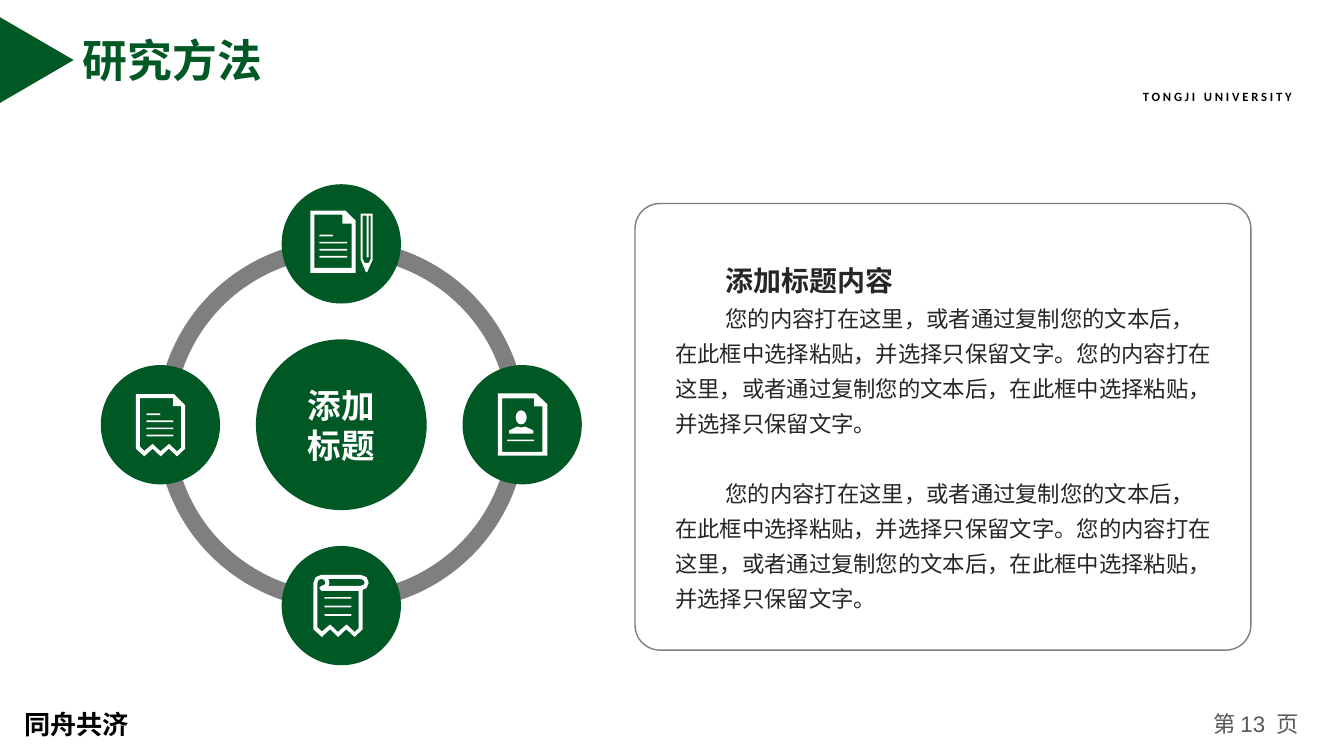
from dataclasses import dataclass

from lxml import etree
from pptx import Presentation
from pptx.dml.color import RGBColor
from pptx.enum.shapes import MSO_SHAPE
from pptx.enum.text import MSO_ANCHOR, PP_ALIGN
from pptx.oxml.ns import qn
from pptx.util import Pt

OVAL, DONUT = MSO_SHAPE.OVAL, MSO_SHAPE.DONUT
ROUNDED, TRIANGLE = MSO_SHAPE.ROUNDED_RECTANGLE, MSO_SHAPE.ISOSCELES_TRIANGLE
LEFT, CENTER, JUSTIFY = PP_ALIGN.LEFT, PP_ALIGN.CENTER, PP_ALIGN.JUSTIFY
MIDDLE = MSO_ANCHOR.MIDDLE


@dataclass(frozen=True)
class Theme:
    green: str = "005825"
    gray: str = "7F7F7F"
    white: str = "FFFFFF"
    black: str = "000000"
    body: str = "262626"
    muted: str = "595959"
    cjk: str = "Noto Sans CJK SC"
    latin: str = "Arial"
    caps: str = "Calibri"
    title_size: float = 32
    hub_size: float = 24
    heading_size: float = 20
    motto_size: float = 18.7
    body_size: float = 16
    caps_size: float = 9


T = Theme()

BODY = ("您的内容打在这里，或者通过复制您的文本后，在此框中选择粘贴，并选择只保留文字。"
        "您的内容打在这里，或者通过复制您的文本后，在此框中选择粘贴，并选择只保留文字。")

# Cycle geometry
CX, CY = 243.8, 303.4
ORBIT, HUB, NODE, RING = 129.2, 122, 85.2, 264.2

# Icon outlines, measured from the top left corner of each icon
PAGE = [[(0, 0), (25.2, 0), (32.4, 7.2), (32.4, 44.6), (0, 44.6)],
        [(2.9, 2.9), (23, 2.9), (23, 9.4), (29.5, 9.4), (29.5, 41), (2.9, 41)]]
PENCIL = [[(36, 2.2), (44.6, 2.2), (44.6, 35), (40.7, 44), (39.8, 44), (36, 35)],
          [(37.4, 3.6), (40.3, 3.6), (40.3, 33.5), (41.8, 33.5), (41.8, 3.6),
           (43.2, 3.6), (43.2, 34.6), (41.8, 37.4), (38.9, 37.4), (37.4, 34.6)]]
PROFILE = [[(0, 0), (27, 0), (35.3, 7.9), (35.3, 44.6), (0, 44.6)],
           [(2.9, 3.6), (25.9, 3.6), (25.9, 9.4), (31.7, 9.4), (31.7, 41.8), (2.9, 41.8)]]
SHOULDERS = [[(8, 28.8), (8, 26.6), (13.7, 23.8), (16.6, 24.5), (19.4, 23.8),
              (25.2, 26.6), (25.2, 28.8)]]
TORN_OUTER = [(35.3, 38.9), (29.5, 44.4), (23.6, 38.9), (17.8, 44.4), (12, 38.9),
              (6.1, 44.4), (0, 38.9)]
TORN_INNER = [(32.4, 38.2), (29.5, 40.8), (23.8, 35.5), (17.6, 40.8), (12, 35.5),
              (6.1, 40.5), (2.9, 37.4)]
RECEIPT = [[(0, 0), (27.4, 0), (35.3, 8)] + TORN_OUTER,
           [(2.9, 2.9), (26.6, 2.9), (26.6, 8.6), (32.4, 8.6)] + TORN_INNER]
SCROLL = [[(5.8, 0), (33.8, 0), (38, 1.7), (39.6, 5.8), (38, 9.4), (35.3, 10.8)]
          + TORN_OUTER + [(0, 5.8), (1.7, 1.7)],
          [(2.9, 5.8), (3.7, 3.7), (5.8, 2.9), (7.9, 3.7), (8.6, 5.8), (7.9, 7.2),
           (5.8, 7.9), (4.3, 9.4), (5.8, 11.5), (32.4, 11.5)] + TORN_INNER,
          [(10.8, 7.9), (11.5, 5.8), (10.8, 2.9), (33.8, 2.9), (36, 4), (36.7, 5.8),
           (36, 7.2), (33.8, 7.9)]]


def paint(sp, fill=None, line=None, weight=1):
    sp.shadow.inherit = False
    if fill:
        sp.fill.solid()
        sp.fill.fore_color.rgb = RGBColor.from_string(fill)
    else:
        sp.fill.background()
    if line:
        sp.line.color.rgb = RGBColor.from_string(line)
        sp.line.width = Pt(weight)
    else:
        sp.line.fill.background()


def add_preset(slide, kind, x, y, w, h, fill=None, line=None, adj=None):
    sp = slide.shapes.add_shape(kind, Pt(x), Pt(y), Pt(w), Pt(h))
    paint(sp, fill, line)
    if adj is not None:
        sp.adjustments[0] = adj
    return sp


def add_disc(slide, cx, cy, d, fill):
    return add_preset(slide, OVAL, cx - d / 2, cy - d / 2, d, d, fill)


def add_outline(slide, x, y, contours):
    points = [[(Pt(px), Pt(py)) for px, py in c] for c in contours]
    builder = slide.shapes.build_freeform(*points[0][0])
    for i, c in enumerate(points):
        if i:
            builder.move_to(*c[0])
        builder.add_line_segments(c[1:], close=True)
    paint(builder.convert_to_shape(Pt(x), Pt(y)), T.white)


def add_bars(slide, x, y, widths, step=5.05):
    for i, w in enumerate(widths):
        add_preset(slide, ROUNDED, x, y + i * step, w, 1.2, T.white, adj=0.5)


def style(p, size, color, bold=False, font=T.cjk, align=LEFT, spacing=None):
    p.alignment = align
    for r in p.runs:
        r.font.size, r.font.bold, r.font.name = Pt(size), bold, font
        r.font.color.rgb = RGBColor.from_string(color)
        rPr = r.font._element
        etree.SubElement(rPr, qn("a:ea")).set("typeface", T.cjk)
        if spacing:
            rPr.set("spc", str(spacing * 100))


def add_text(slide, x, y, w, h, text, size, color, **kw):
    tf = slide.shapes.add_textbox(Pt(x), Pt(y), Pt(w), Pt(h)).text_frame
    tf.word_wrap = True
    tf.vertical_anchor = MIDDLE
    tf.text = text
    style(tf.paragraphs[0], size, color, **kw)
    return tf


def add_header_footer(slide):
    add_preset(slide, TRIANGLE, -4.3, 16.6, 61.2, 52.6, T.green).rotation = 90
    add_text(slide, 52, 18.7, 150, 48.2, "研究方法", T.title_size, T.green,
             bold=True, font=T.latin)
    add_text(slide, 809.3, 60.5, 138.2, 17.3, "TONGJI UNIVERSITY", T.caps_size, T.black,
             bold=True, font=T.caps, align=JUSTIFY, spacing=2)
    add_text(slide, 10.1, 498, 98.6, 38.2, "同舟共济", T.motto_size, T.black, bold=True)
    tf = add_text(slide, 853.9, 502.6, 86.4, 28.8, "第 ", T.body_size, T.muted, align=CENTER)
    p = tf.paragraphs[0]
    for text, font in (("13 ", T.latin), (" 页", T.cjk)):
        r = p.add_run()
        r.text = text
        r.font.name, r.font.size = font, Pt(T.body_size)
        r.font.color.rgb = RGBColor.from_string(T.muted)


def add_cycle(slide):
    add_preset(slide, DONUT, CX - RING / 2, CY - RING / 2, RING, RING, T.gray, adj=0.046)
    for dx, dy in ((0, -1), (1, 0), (0, 1), (-1, 0)):
        add_disc(slide, CX + dx * ORBIT, CY + dy * ORBIT, NODE, T.green)
    tf = add_disc(slide, CX, CY, HUB, T.green).text_frame
    tf.text = "添加\n标题"
    tf.vertical_anchor = MIDDLE
    for p in tf.paragraphs:
        style(p, T.hub_size, T.white, bold=True, font=T.latin, align=CENTER)


def add_icons(slide):
    # Top: page and pencil
    x, y = CX - 22.2, CY - ORBIT - 23.8
    add_outline(slide, x, y, PAGE)
    add_outline(slide, x, y, PENCIL)
    add_bars(slide, x + 6.5, y + 17.3, (9.8, 20, 20, 20))
    # Right: profile
    x, y = CX + ORBIT - 17.3, CY - 22.5
    add_outline(slide, x, y, PROFILE)
    add_outline(slide, x, y, SHOULDERS)
    add_preset(slide, OVAL, x + 12.6, y + 12.2, 7.9, 10.1, T.white)
    add_bars(slide, x + 6.5, y + 33.1, (19.4,))
    # Bottom: scroll
    x, y = CX - 20, CY + ORBIT - 22
    add_outline(slide, x, y, SCROLL)
    add_bars(slide, x + 7.9, y + 15.9, (19.4,) * 3, step=6.1)
    # Left: receipt
    x, y = CX - ORBIT - 17.6, CY - 21.8
    add_outline(slide, x, y, RECEIPT)
    add_bars(slide, x + 7.5, y + 13.7, (10, 19.4, 19.4, 19.4))


def add_panel(slide):
    add_preset(slide, ROUNDED, 453.6, 145.4, 439.9, 319, line=T.gray, adj=0.056)
    tf = add_text(slide, 475.2, 159.8, 398.6, 280.1, "添加标题内容",
                  T.heading_size, T.body, bold=True)
    tf.vertical_anchor = MSO_ANCHOR.TOP
    tf.paragraphs[0].line_spacing = Pt(49)
    for gap in (0, 25):
        p = tf.add_paragraph()
        p.text = BODY
        p.line_spacing, p.space_before = Pt(25), Pt(gap)
        style(p, T.body_size, T.body)
    for p in tf.paragraphs:
        p._p.get_or_add_pPr().set("indent", str(Pt(36)))


def main():
    prs = Presentation()
    prs.slide_width, prs.slide_height = Pt(960), Pt(540)
    slide = prs.slides.add_slide(prs.slide_layouts[6])
    add_header_footer(slide)
    add_cycle(slide)
    add_icons(slide)
    add_panel(slide)
    prs.save("out.pptx")


if __name__ == "__main__":
    main()
